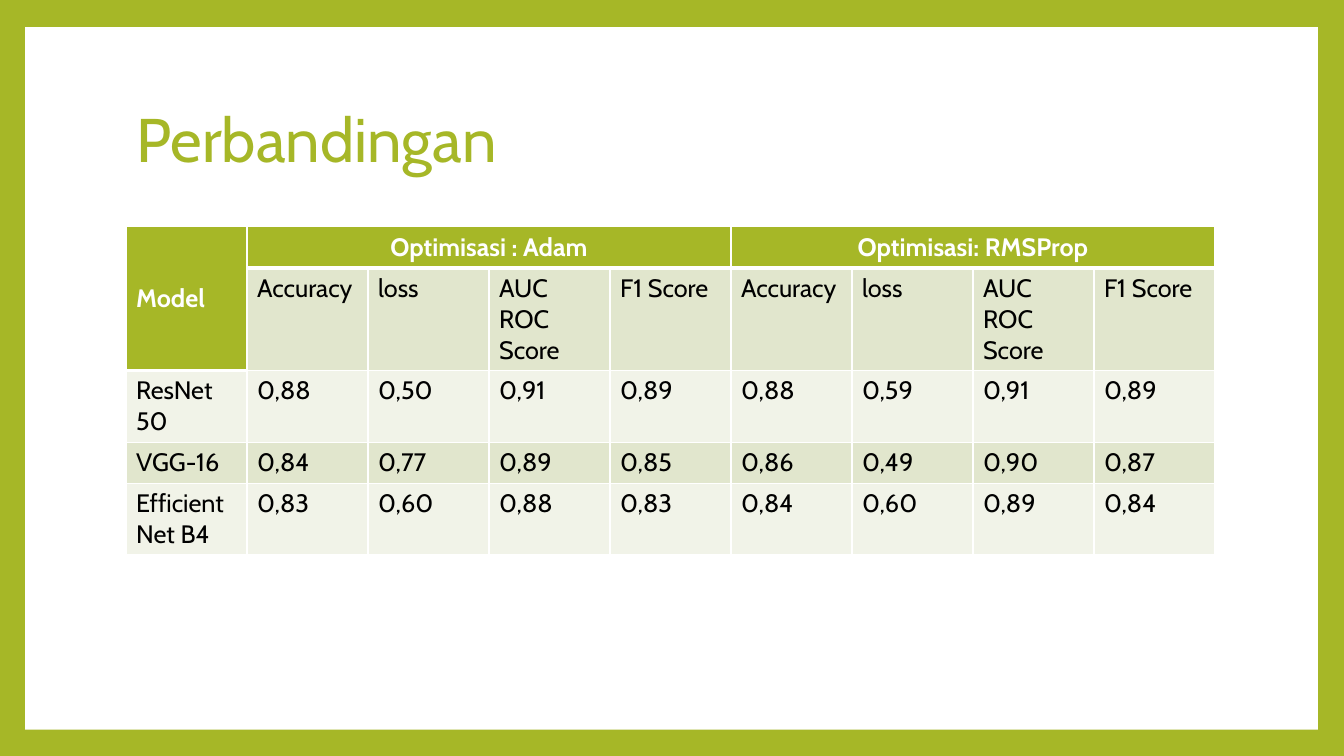
from dataclasses import dataclass

from lxml import etree
from pptx import Presentation
from pptx.dml.color import RGBColor
from pptx.enum.shapes import MSO_SHAPE
from pptx.enum.text import MSO_ANCHOR, PP_ALIGN
from pptx.oxml.ns import qn
from pptx.util import Inches, Pt

RECTANGLE = MSO_SHAPE.RECTANGLE
MIDDLE, TOP = MSO_ANCHOR.MIDDLE, MSO_ANCHOR.TOP
LEFT, CENTER = PP_ALIGN.LEFT, PP_ALIGN.CENTER

TITLE = "Perbandingan"
MODEL_HEADING = "Model"
OPTIMIZERS = ["Optimisasi : Adam", "Optimisasi: RMSProp"]
METRICS = ["Accuracy", "loss", "AUC ROC Score", "F1 Score"]
RESULTS = [
    ("ResNet 50", "0,88", "0,50", "0,91", "0,89", "0,88", "0,59", "0,91", "0,89"),
    ("VGG-16", "0,84", "0,77", "0,89", "0,85", "0,86", "0,49", "0,90", "0,87"),
    ("Efficient Net B4", "0,83", "0,60", "0,88", "0,83", "0,84", "0,60", "0,89", "0,84"),
]


@dataclass(frozen=True)
class Theme:
    font: str = "Cabin"
    green: str = "A6B727"
    band_dark: str = "E1E6CD"
    band_light: str = "F1F3E8"
    white: str = "FFFFFF"
    black: str = "000000"
    title_size: int = 44
    table_size: int = 18
    thin_rule: int = 1
    thick_rule: int = 3


THEME = Theme()


def write_text(frame, text, *, size=THEME.table_size, color=THEME.black,
               bold=False, align=LEFT, spacing=1.0):
    """Put one formatted paragraph into a text frame."""
    paragraph = frame.paragraphs[0]
    paragraph.text = text
    paragraph.alignment = align
    paragraph.line_spacing = spacing
    font = paragraph.runs[0].font
    font.name, font.size, font.bold = THEME.font, Pt(size), bold
    font.color.rgb = RGBColor.from_string(color)


def paint(fill, color):
    """Give a fill one solid colour."""
    fill.solid()
    fill.fore_color.rgb = RGBColor.from_string(color)


def draw_borders(cell, top, bottom):
    """Draw white rules around a cell, with widths in points."""
    properties = cell._tc.get_or_add_tcPr()
    widths = {"a:lnL": THEME.thin_rule, "a:lnR": THEME.thin_rule, "a:lnT": top, "a:lnB": bottom}
    for side, width in widths.items():
        rule = etree.SubElement(properties, qn(side), w=str(Pt(width)))
        solid = etree.SubElement(rule, qn("a:solidFill"))
        etree.SubElement(solid, qn("a:srgbClr"), val=THEME.white)


def is_heading(row, column):
    """Tell whether a cell belongs to the green headings."""
    return row == 0 or (row == 1 and column == 0)


def rule_below(row, column):
    """Return the width of the rule under a cell."""
    return THEME.thick_rule if row >= 0 and is_heading(row, column) else THEME.thin_rule


def add_title(slide):
    """Place and format the slide title."""
    title = slide.shapes.title
    title.left, title.top = Inches(1.25), Inches(0.67)
    title.width, title.height = Inches(10.8), Inches(1.48)
    title.text_frame.vertical_anchor = MIDDLE
    write_text(title.text_frame, TITLE, size=THEME.title_size, color=THEME.green, spacing=0.9)


def add_comparison(slide):
    """Build the table that compares models under each optimizer."""
    group_size = len(METRICS)
    headings = [MODEL_HEADING]
    for optimizer in OPTIMIZERS:
        headings += [optimizer] + [""] * (group_size - 1)
    rows = [headings, [""] + METRICS * len(OPTIMIZERS), *RESULTS]
    column_width, row_height = Inches(1.2), Inches(0.41)
    table = slide.shapes.add_table(
        len(rows), len(headings), Inches(1.25), Inches(2.25),
        column_width * len(headings), row_height * len(rows)).table

    for r, values in enumerate(rows):
        table.rows[r].height = row_height
        for c, value in enumerate(values):
            cell = table.cell(r, c)
            heading = is_heading(r, c)
            draw_borders(cell, rule_below(r - 1, c), rule_below(r, c))
            band = THEME.band_dark if r % 2 else THEME.band_light
            paint(cell.fill, THEME.green if heading else band)
            cell.vertical_anchor = MIDDLE if heading or c == 0 else TOP
            if value:
                write_text(cell.text_frame, value, bold=heading,
                           color=THEME.white if heading else THEME.black,
                           align=CENTER if r == 0 and c else LEFT)

    table.cell(0, 0).merge(table.cell(1, 0))
    for first in range(1, len(headings), group_size):
        table.cell(0, first).merge(table.cell(0, first + group_size - 1))


def main():
    """Create the comparison slide."""
    deck = Presentation()
    deck.slide_width, deck.slide_height = Inches(13.33), Inches(7.5)
    slide = deck.slides.add_slide(deck.slide_layouts[5])
    paint(slide.background.fill, THEME.green)
    panel = slide.shapes.add_shape(
        RECTANGLE, Inches(0.25), Inches(0.27), Inches(12.82), Inches(6.97))
    panel.shadow.inherit = False
    paint(panel.fill, THEME.white)
    panel.line.fill.background()
    slide.shapes._spTree.insert(2, panel._element)
    add_title(slide)
    add_comparison(slide)
    deck.save("out.pptx")


if __name__ == "__main__":
    main()
